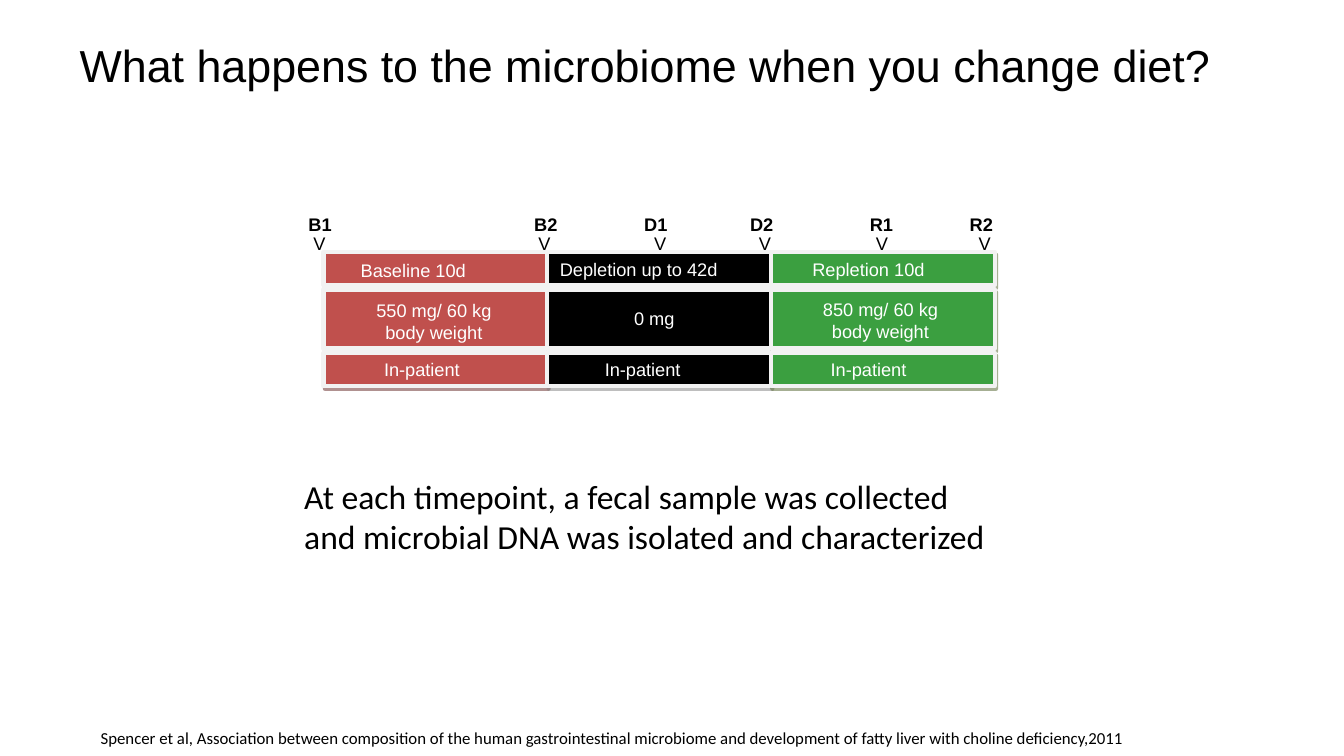
import pptx
import pptx.util
import pptx.dml.color
import pptx.enum.shapes
import pptx.enum.text
import lxml.etree

Pt = pptx.util.Pt
RGB = pptx.dml.color.RGBColor
ALIGN = pptx.enum.text.PP_ALIGN
ANCHOR = pptx.enum.text.MSO_ANCHOR
FIT = pptx.enum.text.MSO_AUTO_SIZE
RECT = pptx.enum.shapes.MSO_SHAPE.RECTANGLE
NS = "http://schemas.openxmlformats.org/drawingml/2006/main"

BLACK = RGB(0x00, 0x00, 0x00)
WHITE = RGB(0xFF, 0xFF, 0xFF)
EDGE = RGB(0xF2, 0xF2, 0xF2)
RED = RGB(0xC0, 0x50, 0x4D)
GREEN = RGB(0x3B, 0x9F, 0x40)
ROSE = RGB(0x62, 0x24, 0x23)
GRAY = RGB(0x7F, 0x7F, 0x7F)
OLIVE = RGB(0x4E, 0x61, 0x28)

# Content
TITLE = "What happens to the microbiome when you change diet?"
NOTE = ["At each timepoint, a fecal sample was collected",
        "and microbial DNA was isolated and characterized"]
CITE = ["Spencer et al, Association between composition of the human "
        "gastrointestinal microbiome and development of fatty liver "
        "with choline deficiency,2011"]
PHASES = [(RED, ROSE), (BLACK, GRAY), (GREEN, OLIVE)]  # fill, shadow
# Row: top, height, alignment, then (left, top, width, lines) per phase
ROWS = [
    (180, 23.8, ALIGN.LEFT, [
        (253.4, 183.2, 84.2, ["Baseline 10d"]),
        (395.6, 182.5, 123, ["Depletion up to 42d"]),
        (576, 182.5, 89.3, ["Repletion 10d"])]),
    (206.8, 42.2, ALIGN.CENTER, [
        (264.2, 211.7, 91.4, ["550 mg/ 60 kg", "body weight"]),
        (445.3, 217.4, 44, ["0 mg"]),
        (583.2, 211, 91.4, ["850 mg/ 60 kg", "body weight"])]),
    (252, 23.8, ALIGN.LEFT, [
        (270, 253.4, 63.4, ["In-patient"]),
        (427.7, 253.4, 63.4, ["In-patient"]),
        (589, 253.4, 63.4, ["In-patient"])]),
]
# Time point: name, left of name, left of pointer
TIMES = [("B1", 216, 219.6), ("B2", 377.3, 380.2), ("D1", 455.8, 463),
         ("D2", 531.4, 537.8), ("R1", 617, 621.4), ("R2", 688.3, 694.8)]
BAR_X, BAR_W, LINE_H = 231.1, 159.8, 15.1
SMALL = {"size": Pt(13), "name": "Arial"}


def style(para, form):
    for key, val in form.items():
        if key == "color":
            para.font.color.rgb = val
        else:
            setattr(para.font, key, val)


def write(shapes, box, lines, form, align=ALIGN.LEFT, pad=(7.2, 3.6), wrap=False):
    shape = shapes.add_textbox(*map(Pt, box))
    frame = shape.text_frame
    frame.word_wrap = wrap
    frame.auto_size = FIT.SHAPE_TO_FIT_TEXT
    frame.margin_left = frame.margin_right = Pt(pad[0])
    frame.margin_top = frame.margin_bottom = Pt(pad[1])
    frame.text = "\n".join(lines)
    for para in frame.paragraphs:
        para.alignment = align
        style(para, form)


def label(shapes, x, y, w, lines, align=ALIGN.LEFT, **form):
    box = (x, y, w, 5 + LINE_H * len(lines))
    write(shapes, box, lines, {**SMALL, **form}, align, (4.3, 2.2))


def bar(shapes, x, y, h, fill, shade):
    shape = shapes.add_shape(RECT, *map(Pt, (x, y, BAR_W, h)))
    shape.fill.solid()
    shape.fill.fore_color.rgb = fill
    shape.line.color.rgb = EDGE
    shape.line.width = Pt(3)
    # Hard shadow, half transparent, down and to the right
    shape.shadow.inherit = False
    effect = shape._element.spPr.find(f"{{{NS}}}effectLst")
    effect.append(lxml.etree.fromstring(
        f'<a:outerShdw xmlns:a="{NS}" blurRad="0" dist="{Pt(2.2)}" '
        f'dir="{63 * 60000}" algn="ctr" rotWithShape="0">'
        f'<a:srgbClr val="{shade}"><a:alpha val="50000"/></a:srgbClr>'
        '</a:outerShdw>'))


def main():
    deck = pptx.Presentation()
    deck.slide_width, deck.slide_height = Pt(960), Pt(540)
    slide = deck.slides.add_slide(deck.slide_layouts[5])

    # Title, set in the upper part of its box
    title = slide.shapes.title
    title.left, title.top, title.width, title.height = map(Pt, (49.7, 15.8, 864, 108))
    frame = title.text_frame
    frame.text = TITLE
    frame.word_wrap = True
    frame.vertical_anchor = ANCHOR.MIDDLE
    frame.margin_bottom = Pt(46)
    head = frame.paragraphs[0]
    head.alignment = ALIGN.LEFT
    head.line_spacing = 0.9
    style(head, {"size": Pt(32), "name": "Arial", "color": BLACK})

    # Study timeline: bars, then their labels, then time points
    chart = slide.shapes.add_group_shape().shapes
    for top, high, align, cells in ROWS:
        for i, (fill, shade) in enumerate(PHASES):
            bar(chart, BAR_X + i * BAR_W, top, high, fill, shade)
        for x, y, w, lines in cells:
            label(chart, x, y, w, lines, align, color=WHITE)
    for name, x, tip in TIMES:
        label(chart, tip, 163.4, 16.6, ["V"], color=BLACK)
        label(chart, x, 149.8, 25.2, [name], color=BLACK, bold=True)

    # Explanation and source
    plain = {"name": "Calibri", "color": BLACK}
    write(slide.shapes, (210.2, 336.2, 504.7, 65.5), NOTE, {**plain, "size": Pt(24)})
    write(slide.shapes, (64.8, 516.2, 895.2, 21.6), CITE,
          {**plain, "size": Pt(12)}, wrap=True)
    deck.save("out.pptx")


if __name__ == "__main__":
    main()
